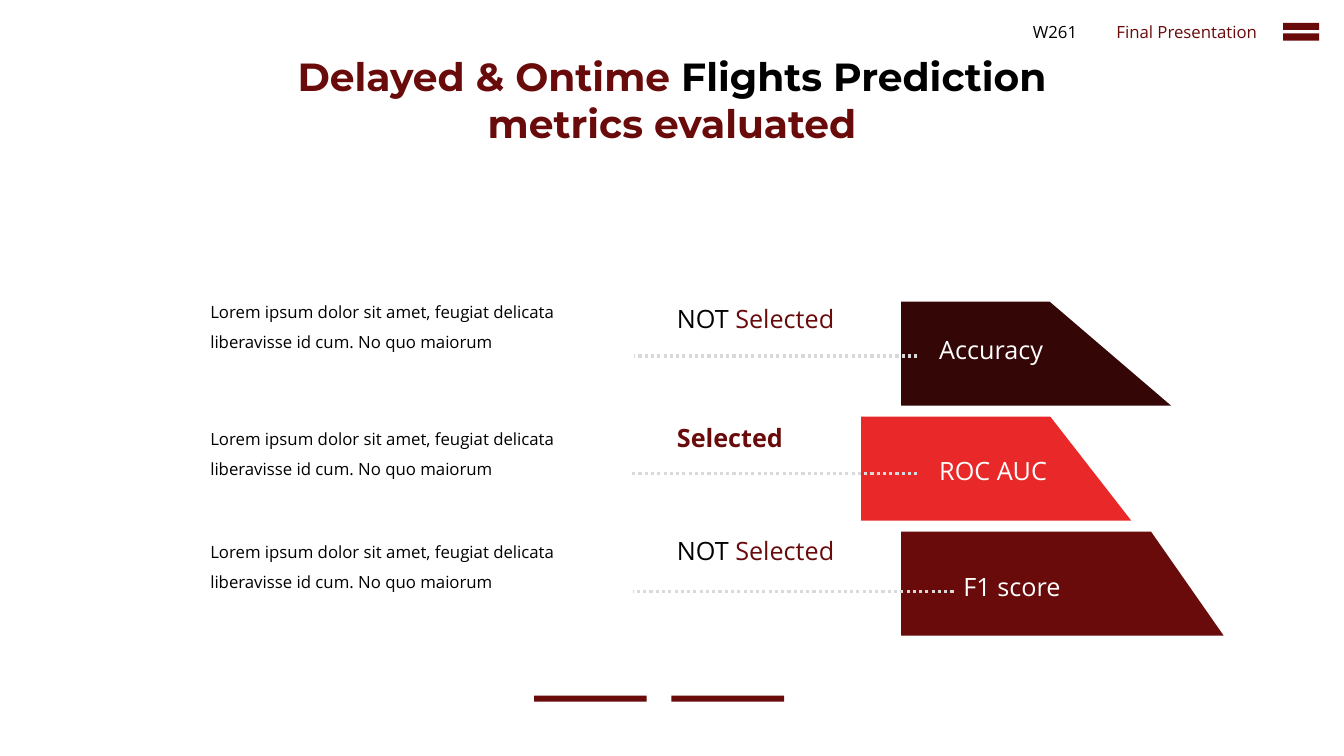
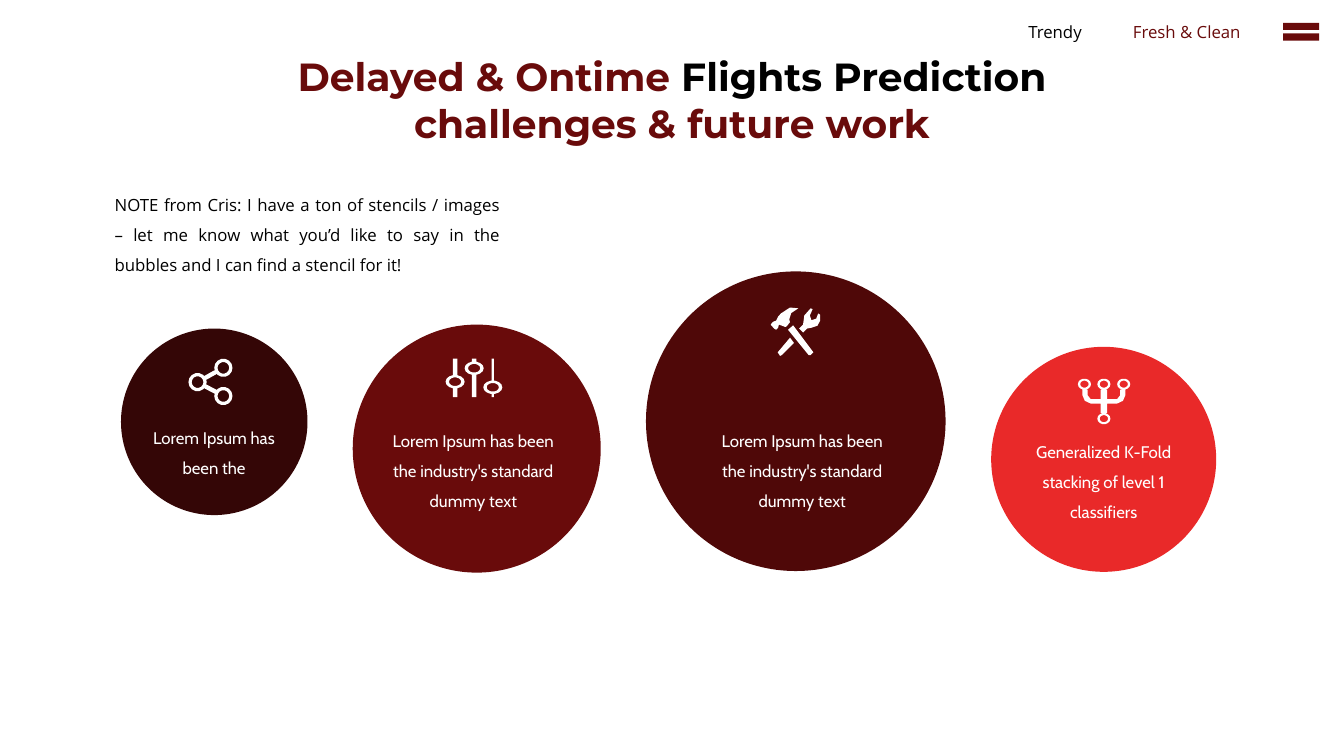
from math import cos, hypot, pi, sin

from lxml.etree import SubElement
from pptx import Presentation
from pptx.dml.color import RGBColor
from pptx.enum.dml import MSO_LINE
from pptx.enum.shapes import MSO_CONNECTOR as Link, MSO_SHAPE as Kind
from pptx.enum.text import MSO_ANCHOR as Anchor, PP_ALIGN as Align
from pptx.oxml.ns import qn
from pptx.util import Cm, Pt

COLORS = {
    "black": "000000", "white": "FFFFFF", "gray": "D9D9D9",
    "wine": "690B0B", "red": "E92929", "dark": "340606", "deep": "4F0808",
}
WIDE, HIGH = 33.87, 19.05
LOREM = ("Lorem ipsum dolor sit amet, feugiat delicata "
         "liberavisse id cum. No quo maiorum")
DUMMY = "Lorem Ipsum has been the industry's standard dummy text"
NOTE = ("NOTE from Cris: I have a ton of stencils / images – let me know "
        "what you’d like to say in the bubbles and I can find a stencil for it!")
HEADS = [
    {"tags": ("W261", "Final Presentation"), "topic": "metrics evaluated"},
    {"tags": ("Trendy", "Fresh & Clean"), "topic": "challenges & future work"},
]

# Slide 1: one tier per metric; lengths in cm
TIER_TOP, TIER_STEP, TIER_HIGH = 7.6, 2.9, 2.62
DOT_TOP, DOT_STEP = 8.97, 2.97
TIERS = [
    {"name": "Accuracy", "pick": False, "fill": "dark", "left": 22.71,
     "right": (26.45, 29.51), "dots": (23.12, 15.98), "label": (23.42, 8.31),
     "verdict": 7.52, "body": 7.22},
    {"name": "ROC AUC", "pick": True, "fill": "red", "left": 21.7,
     "right": (26.47, 28.51), "dots": (23.12, 15.88), "label": (23.42, 11.34),
     "verdict": 10.52, "body": 10.43},
    {"name": "F1 score", "pick": False, "fill": "wine", "left": 22.71,
     "right": (29.01, 30.84), "dots": (24.03, 15.95), "label": (24.03, 14.26),
     "verdict": 13.36, "body": 13.26},
]

# Slide 2: icon parts are placed from the icon's own corner.
# Rings share one size; bars are (thickness, start, end).
SHARE = {
    "at": (4.75, 9.04), "size": (0.46, 0.46),
    "rings": [(0.88, 0.23), (0.23, 0.59), (0.88, 0.94)],
    "bars": [(0.11, (0.43, 0.48), (0.68, 0.34)),
             (0.11, (0.43, 0.7), (0.68, 0.83))],
}
KNOBS = [(0.24, 0.58, 0.11), (0.72, 0.24, 0.11), (1.19, 0.72, 0.06)]
MIXER = {
    "at": (11.23, 9.04), "size": (0.48, 0.34),
    "rings": [(x, y) for x, y, _ in KNOBS],
    "bars": [(thick, (x, a), (x, b)) for x, y, thick in KNOBS
             for a, b in ((0, y - 0.17), (y + 0.17, 0.97))],
}
TOOLS = {
    "at": (19.43, 7.75),
    "shapes": [
        [(0.2, 0.43), (0.36, 0.49), (0.39, 0.48), (0.48, 0.37), (0.46, 0.3),
         (0.51, 0.14), (0.69, 0.02), (0.48, 0), (0.25, 0.15), (0.18, 0.23),
         (0.13, 0.33), (0.05, 0.36), (0, 0.42), (0, 0.44), (0.08, 0.53),
         (0.13, 0.56), (0.18, 0.51)],
        [(0.56, 0.45), (0.43, 0.56), (0.95, 1.2), (1, 1.2), (1.07, 1.13)],
        [(1.24, 0.18), (1.19, 0.15), (1.14, 0.28), (1.02, 0.32), (0.98, 0.2),
         (1.05, 0.04), (1, 0.02), (0.84, 0.2), (0.81, 0.43), (0.71, 0.53),
         (0.81, 0.63), (0.91, 0.53), (1.02, 0.51), (1.17, 0.46),
         (1.24, 0.33)],
        [(0.17, 1.13), (0.23, 1.22), (0.27, 1.2), (0.58, 0.89), (0.48, 0.76)],
    ],
}
TRUNK = 0.64
BRANCH = [(0.08, 0.29), (0.08, 0.53), (0.33, 0.53), (0.41, 0.43),
          (0.41, 0.29), (0.54, 0.29), (0.54, 0.43), (0.48, 0.57),
          (0.33, 0.64), (0.08, 0.64), (0.08, 0.88)]
TREE = {
    "at": (27.18, 9.53), "size": (0.33, 0.28),
    "rings": [(0.15, 0.15), (TRUNK, 0.15), (1.14, 0.15), (TRUNK, 1.02)],
    "shapes": [[(TRUNK + x, y) for x, y in BRANCH]
               + [(TRUNK - x, y) for x, y in reversed(BRANCH)]],
}
# left, top, diameter, fill, text, text box, icon
BUBBLES = [
    (8.89, 8.18, 6.25, "wine", DUMMY, (9.44, 10.47, 4.98, 2.9), MIXER),
    (24.98, 8.74, 5.67, "red",
     "Generalized K-Fold stacking of level 1 classifiers",
     (25.58, 10.74, 4.47, 2.9), TREE),
    (3.05, 8.28, 4.7, "dark", "Lorem Ipsum has been the",
     (3.31, 10.39, 4.17, 2.13), SHARE),
    (16.28, 6.84, 7.55, "deep", DUMMY, (17.73, 10.47, 4.98, 2.9), TOOLS),
]


def rgb(name):
    return RGBColor.from_string(COLORS[name])


def paint(shape, fill):
    shape.shadow.inherit = False
    shape.fill.solid()
    shape.fill.fore_color.rgb = rgb(fill)
    shape.line.fill.background()


def add_part(slide, kind, box, fill):
    paint(slide.shapes.add_shape(kind, *map(Cm, box)), fill)


def add_form(slide, loops, fill):
    """Draw closed loops as one shape; a loop inside another is a hole."""
    form = None
    for loop in loops:
        first, *rest = [(Cm(x), Cm(y)) for x, y in loop]
        if form is None:
            form = slide.shapes.build_freeform(*first)
        else:
            form.move_to(*first)
        form.add_line_segments(rest, close=True)
    paint(form.convert_to_shape(), fill)


def add_dots(slide, start, end):
    line = slide.shapes.add_connector(Link.STRAIGHT, *map(Cm, (*start, *end)))
    line.line.color.rgb = rgb("gray")
    line.line.width = Pt(2.25)
    line.line.dash_style = MSO_LINE.ROUND_DOT
    SubElement(line._element.spPr, qn("a:effectLst"))


def write(par, parts, size, font, bold=False):
    """Fill a paragraph with (text, colour) runs."""
    for text, color in parts:
        run = par.add_run()
        run.text = text
        run.font.size, run.font.name, run.font.bold = Pt(size), font, bold
        run.font.color.rgb = rgb(color)


def add_text(slide, box, parts, size=12, font="Open Sans", bold=False,
             align=Align.LEFT, space=1.0):
    frame = slide.shapes.add_textbox(*map(Cm, box)).text_frame
    frame.word_wrap = True
    par = frame.paragraphs[0]
    par.alignment, par.line_spacing = align, space
    write(par, parts, size, font, bold)


def add_slide(deck, tags, topic):
    """Start a slide with the shared title and top corner."""
    slide = deck.slides.add_slide(deck.slide_layouts[5])
    title = slide.shapes.title
    title.left, title.top = Cm(0), Cm(1.19)
    title.width, title.height = Cm(WIDE), Cm(2.64)
    title.text_frame.vertical_anchor = Anchor.TOP
    par = title.text_frame.paragraphs[0]
    par.alignment, par.line_spacing = Align.CENTER, 1.0
    style = (28, "Montserrat", True)
    write(par, [("Delayed & Ontime ", "wine"),
                ("Flights Prediction", "black")], *style)
    par.add_line_break()
    write(par, [(topic, "wine")], *style)

    spots = [(25.34, 2.5, "black"), (27.61, 4.6, "wine")]
    for tag, (left, width, color) in zip(tags, spots):
        add_text(slide, (left, 0.42, width, 0.76), [(tag, color)],
                 align=Align.CENTER)
    add_part(slide, Kind.MATH_EQUAL, (32.17, 0.42, 1.24, 0.76), "wine")
    return slide


def oval(x, y, wide, high, steps=14):
    turns = [2 * pi * i / steps for i in range(steps)]
    return [(x + wide / 2 * cos(t), y + high / 2 * sin(t)) for t in turns]


def bar(thick, start, end):
    (x1, y1), (x2, y2) = start, end
    half = thick / 2 / hypot(x2 - x1, y2 - y1)
    dx, dy = (y1 - y2) * half, (x2 - x1) * half
    return [(x1 + dx, y1 + dy), (x2 + dx, y2 + dy),
            (x2 - dx, y2 - dy), (x1 - dx, y1 - dy)]


def add_icon(slide, icon, rim=0.18):
    loops = icon.get("shapes", []) + [bar(*b) for b in icon.get("bars", [])]
    for x, y in icon.get("rings", []):
        wide, high = icon["size"]
        loops += [oval(x, y, wide, high),
                  oval(x, y, wide * (1 - 2 * rim), high * (1 - 2 * rim))]
    left, top = icon["at"]
    add_form(slide, [[(left + x, top + y) for x, y in loop]
                     for loop in loops], "white")


def fill_metrics(slide):
    for i, tier in enumerate(TIERS):
        top = TIER_TOP + i * TIER_STEP
        low = top + TIER_HIGH
        near, far = tier["right"]
        add_form(slide, [[(tier["left"], top), (near, top), (far, low),
                          (tier["left"], low)]], tier["fill"])
        y = DOT_TOP + i * DOT_STEP
        start, end = tier["dots"]
        add_dots(slide, (start, y), (end, y))
        verdict = [("Selected", "wine")]
        if not tier["pick"]:
            verdict.insert(0, ("NOT ", "black"))
        add_text(slide, (16.81, tier["verdict"], 4.8, 1.02), verdict, 18,
                 bold=tier["pick"])
        add_text(slide, (5.05, tier["body"], 10.54, 1.73),
                 [(LOREM, "black")], space=1.5)
        add_text(slide, (*tier["label"], 4, 1.02),
                 [(tier["name"], "white")], 18)
    for left in (13.46, 16.92):
        add_part(slide, Kind.RECTANGLE, (left, 17.53, 2.84, 0.15), "wine")


def fill_future(slide):
    for left, top, size, fill, text, box, icon in BUBBLES:
        add_part(slide, Kind.OVAL, (left, top, size, size), fill)
        add_text(slide, box, [(text, "white")], font="Cabin",
                 align=Align.CENTER, space=1.5)
        add_icon(slide, icon)
    add_text(slide, (2.64, 4.52, 10.22, 2.49), [(NOTE, "black")],
             align=Align.JUSTIFY, space=1.5)


def main():
    deck = Presentation()
    deck.slide_width, deck.slide_height = Cm(WIDE), Cm(HIGH)
    for head, fill in zip(HEADS, (fill_metrics, fill_future)):
        fill(add_slide(deck, **head))
    deck.save("out.pptx")


if __name__ == "__main__":
    main()
